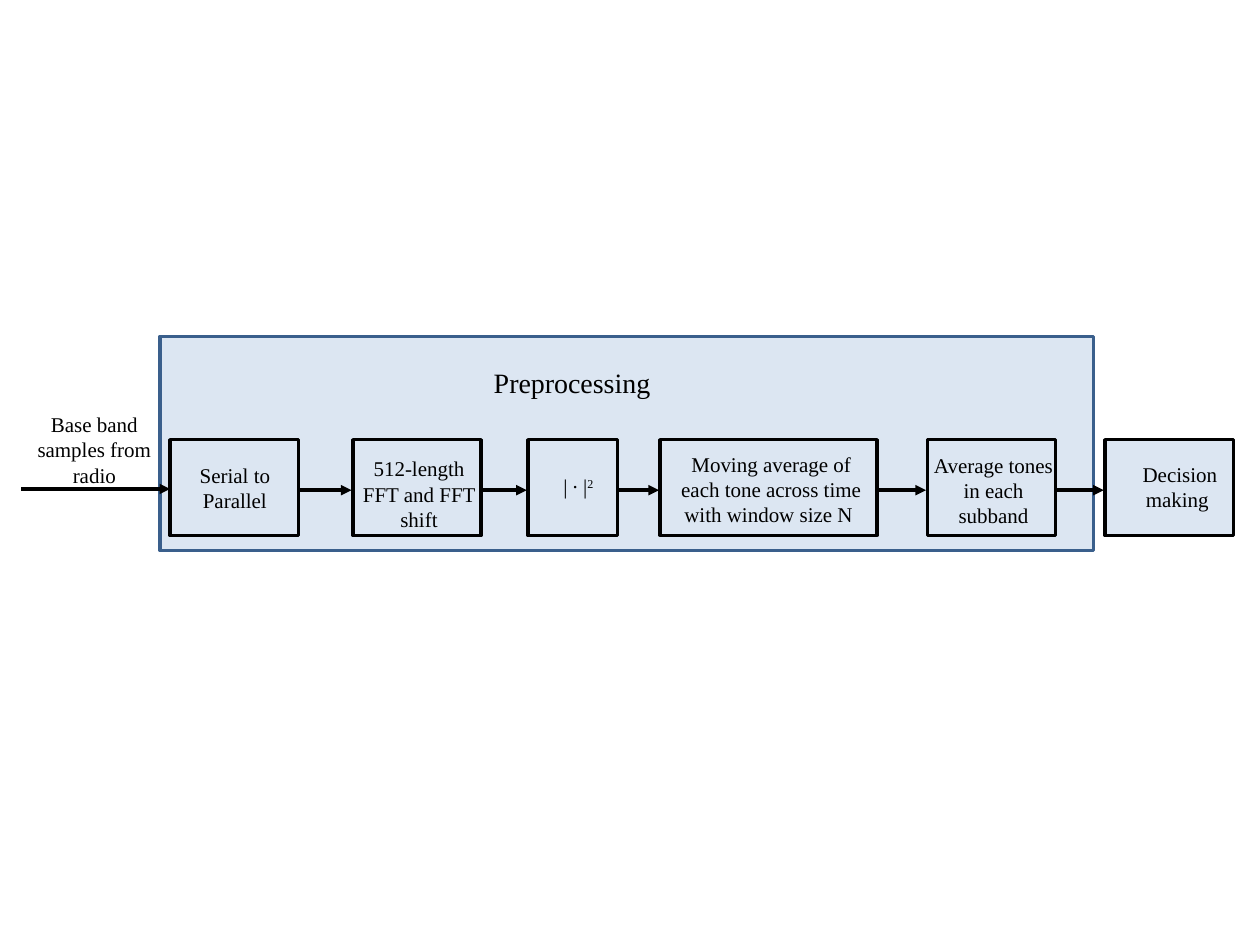
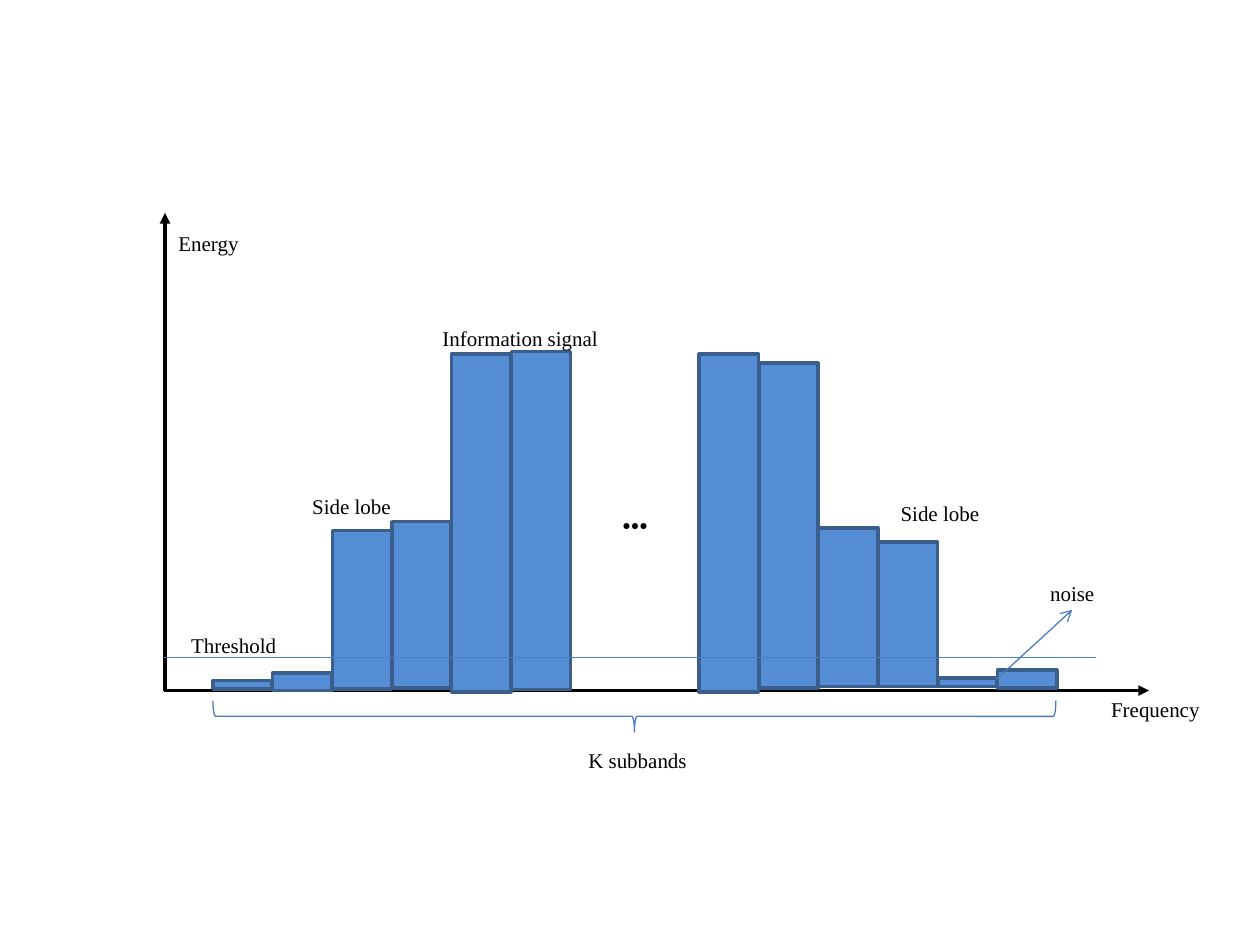
import pptx
import pptx.util
import pptx.dml.color
import pptx.enum.shapes
import pptx.enum.text
import pptx.oxml.ns
import lxml.etree

Pt = pptx.util.Pt
SHAPES = pptx.enum.shapes.MSO_SHAPE

# Shared look
FONT = "Times New Roman"
BLACK, PALE, BLUE, EDGE, THIN = "000000", "DCE6F2", "558ED5", "3A5F8C", "4B7EBC"

# Slide 1 content: stage left, width; label left, top, width, height, text
STAGES = [
    (97.2, 73.4, (91.4, 260.6, 85.7, 39.6), "Serial to Parallel"),
    (201.6, 73.4, (196.6, 257, 85.7, 39.6), "512-length FFT and FFT shift"),
    (301.7, 51.1, (313.2, 267.1, 34.6, 28.8), "| \u2219 |"),
    (377.3, 123.8, (376.6, 254.2, 128.2, 49),
     "Moving average of each tone across time with window size N "),
    (529.9, 73.4, (524.9, 254.9, 85.7, 39.6), "Average tones in each subband"),
    (631.4, 73.4, (631.4, 259.9, 85.7, 39.6), "Decision making "),
]
STAGE_TOP, STAGE_HEIGHT = 251.3, 54.7
ARROW_Y, ARROW_GAP = 280.1, 0.7
PREPROCESSING = (91.4, 192.2, 533.5, 122.4)

# Slide 2 content: first bar left, then (top, height) of each bar
BAR_GROUPS = [
    (121.7, [(388.8, 5), (384.5, 10.1), (303.1, 90.7),
             (298.1, 95), (202.3, 193), (200.9, 193)]),
    (399.6, [(202.3, 193), (207.4, 185.8), (301.7, 90.7),
             (309.6, 82.8), (387.4, 5), (383, 10.1)]),
]
BAR_WIDTH, BAR_PITCH = 33.84, 34.1
SPECTRUM_LABELS = [
    ((626.4, 394.6, 67.7, 33.8), "Frequency", 12),
    ((326.2, 291.6, 73.4, 20.9), "\u25cf\u25cf\u25cf", 8),
    ((90.7, 357.8, 85.7, 20.2), "Threshold", 12),
    ((239, 182.2, 116.6, 20.2), "Information signal", 12),
    ((161.3, 278.6, 79.2, 20.2), "Side lobe", 12),
    ((504, 282.2, 66.2, 20.2), "Side lobe", 12),
    ((586.8, 328.3, 51.8, 20.2), "noise", 12),
    ((90.7, 128.2, 56.9, 20.2), "Energy", 12),
    ((308.9, 423.4, 110.9, 20.2), "K subbands", 12),
]
# Start, end, colour, width, arrowhead
SPECTRUM_LINES = [
    ((93.6, 394.6), (656.6, 394.6), BLACK, 2, "triangle"),
    ((94.3, 394.6), (94.3, 121.7), BLACK, 2, "triangle"),
    ((93.6, 375.8), (626.4, 375.8), THIN, 0.75, None),
    ((569.5, 388.1), (612.7, 348.5), THIN, 0.75, "arrow"),
]
BRACE = (353.5, 168.5, 18, 481.7)


# Helpers
def color(value):
    return pptx.dml.color.RGBColor.from_string(value)


def apply(target, values):
    for name, value in values.items():
        setattr(target, name, value)


def add_block(slide, kind, box, fill, line, width):
    shape = slide.shapes.add_shape(kind, *map(Pt, box))
    shape.shadow.inherit = False
    if fill:
        shape.fill.solid()
        shape.fill.fore_color.rgb = color(fill)
    else:
        shape.fill.background()
    shape.line.color.rgb = color(line)
    shape.line.width = Pt(width)
    return shape


def add_run(paragraph, text, size):
    run = paragraph.add_run()
    run.text = text
    apply(run.font, {"name": FONT, "size": Pt(size)})
    run.font.color.rgb = color(BLACK)
    return run


def add_label(slide, box, text, size=12):
    frame = slide.shapes.add_textbox(*map(Pt, box)).text_frame
    apply(frame, {"word_wrap": True,
                  "vertical_anchor": pptx.enum.text.MSO_ANCHOR.TOP})
    paragraph = frame.paragraphs[0]
    paragraph.alignment = pptx.enum.text.PP_ALIGN.CENTER
    add_run(paragraph, text, size)
    return paragraph


def add_line(slide, start, end, line=BLACK, width=2, head="triangle"):
    connector = slide.shapes.add_connector(
        pptx.enum.shapes.MSO_CONNECTOR.STRAIGHT, *map(Pt, start + end))
    connector.line.color.rgb = color(line)
    connector.line.width = Pt(width)
    qualified = pptx.oxml.ns.qn
    if head:
        lxml.etree.SubElement(connector.line._get_or_add_ln(),
                              qualified("a:tailEnd"), type=head)
    properties = connector._element.spPr
    lxml.etree.SubElement(properties, qualified("a:effectLst"))


presentation = pptx.Presentation()
apply(presentation, {"slide_width": Pt(720), "slide_height": Pt(540)})
blank = presentation.slide_layouts[6]

# Slide 1: processing chain
slide = presentation.slides.add_slide(blank)
add_block(slide, SHAPES.RECTANGLE, PREPROCESSING, PALE, EDGE, 2)
add_label(slide, (164.2, 205.2, 325.4, 29.5), "Preprocessing", 16)
add_label(slide, (5, 231.8, 97.9, 36), "Base band samples from radio")
add_line(slide, (12.2, 279.4), (97.2, 279.4))
# Each arrow runs from one stage's right edge to the next stage's left edge
for (left, width, *_), (next_left, *_) in zip(STAGES, STAGES[1:]):
    add_line(slide, (left + width, ARROW_Y), (next_left - ARROW_GAP, ARROW_Y))
for left, width, label_box, text in STAGES:
    add_block(slide, SHAPES.RECTANGLE,
              (left, STAGE_TOP, width, STAGE_HEIGHT), PALE, BLACK, 2)
    paragraph = add_label(slide, label_box, text)
    if text.startswith("|"):
        exponent = add_run(paragraph, "2", 12)
        exponent.font._element.set("baseline", "30000")

# Slide 2: energy per subband
slide = presentation.slides.add_slide(blank)
add_line(slide, *SPECTRUM_LINES[0])
for first_left, bars in BAR_GROUPS:
    for index, (top, height) in enumerate(bars):
        add_block(slide, SHAPES.RECTANGLE,
                  (first_left + index * BAR_PITCH, top, BAR_WIDTH, height),
                  BLUE, EDGE, 2)
for line in SPECTRUM_LINES[1:]:
    add_line(slide, *line)
for label in SPECTRUM_LABELS:
    add_label(slide, *label)
brace = add_block(slide, SHAPES.RIGHT_BRACE, BRACE, None, THIN, 0.75)
brace.rotation = 90

presentation.save("out.pptx")
